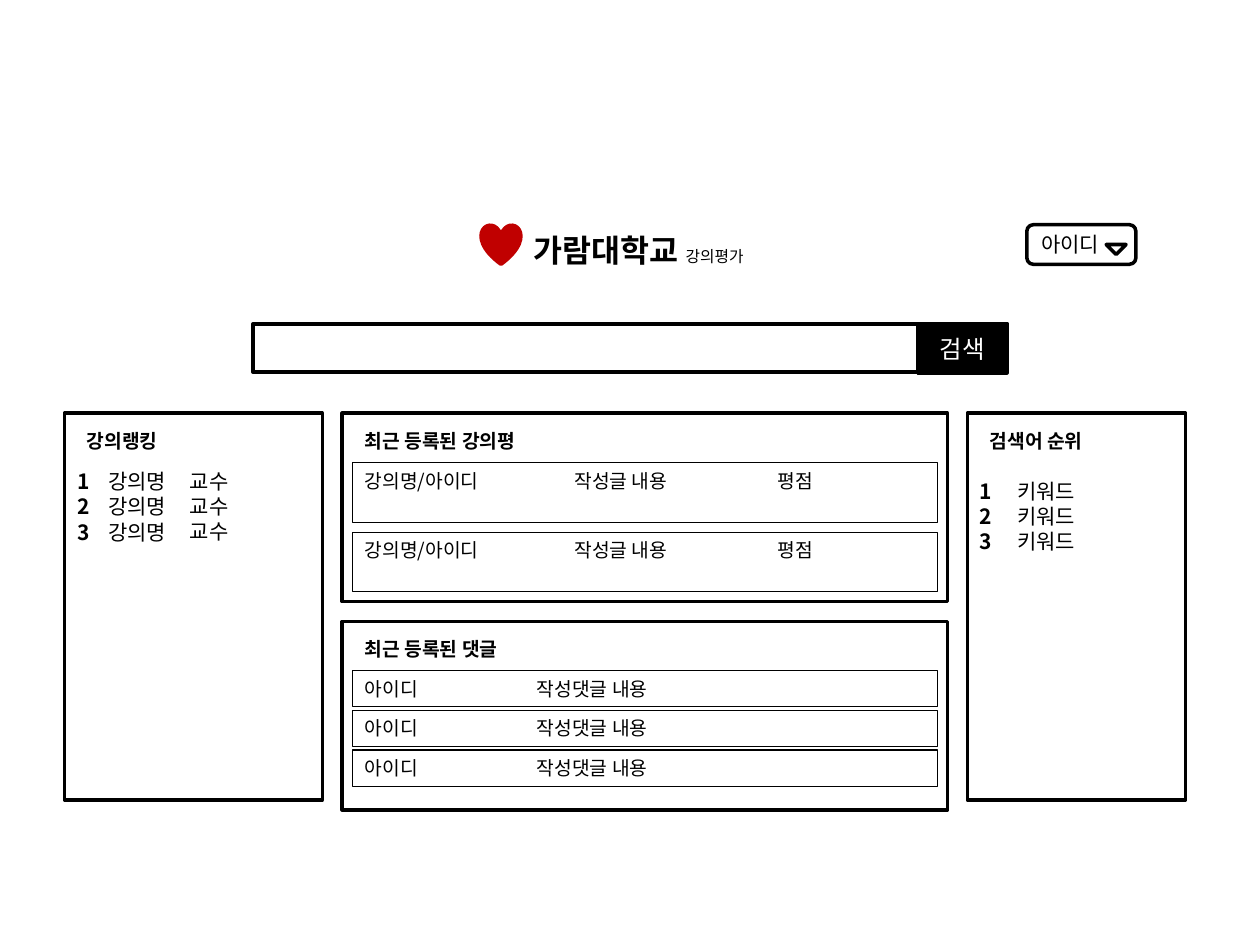
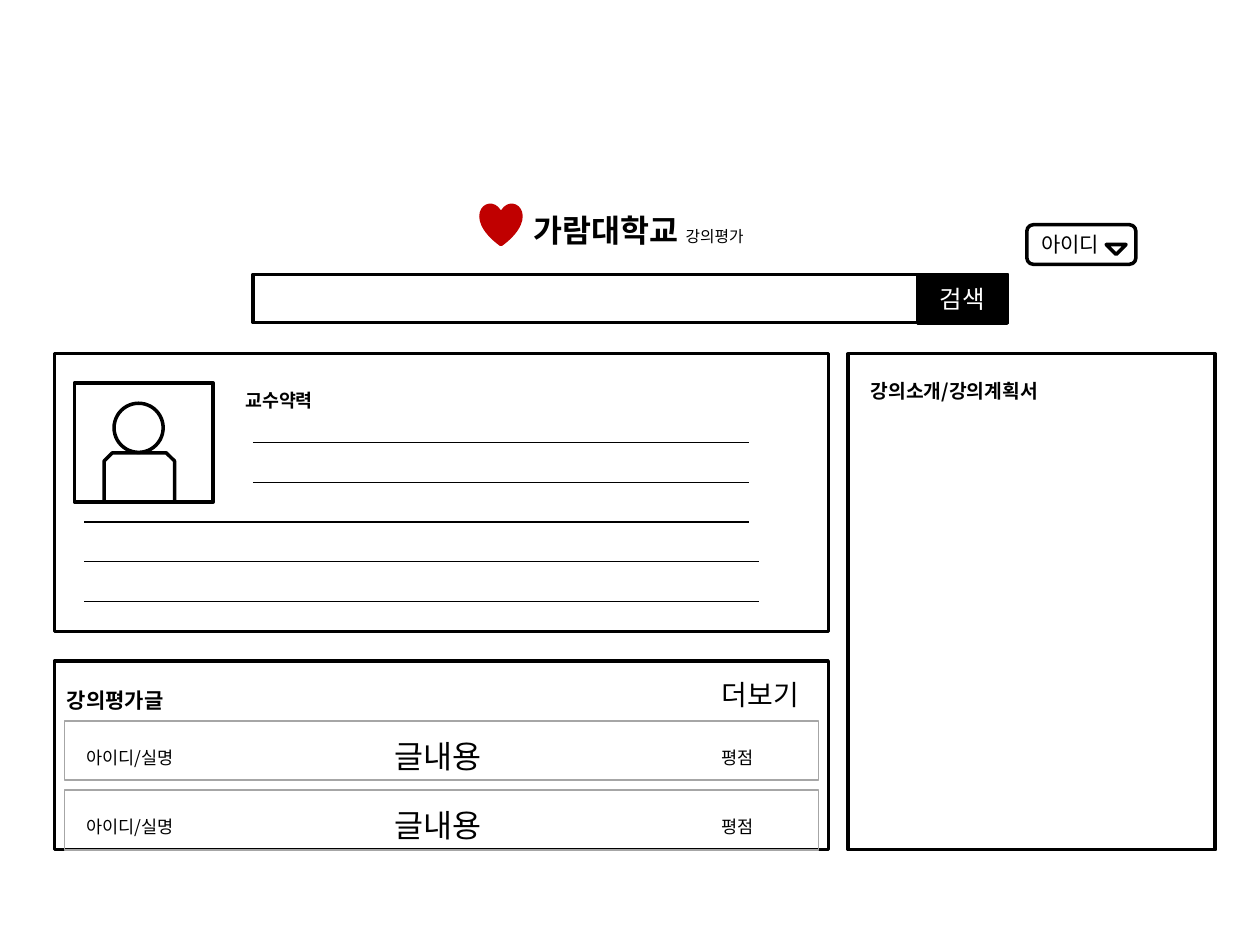
"""Builds two wireframe slides for a course review site."""
from pptx import Presentation
from pptx.dml.color import RGBColor
from pptx.enum.shapes import MSO_CONNECTOR, MSO_SHAPE as Kind
from pptx.enum.text import MSO_ANCHOR as Anchor, MSO_AUTO_SIZE as Fit, PP_ALIGN as Align
from pptx.oxml.ns import qn
from pptx.util import Cm, Pt
from lxml.etree import SubElement

FONT = "Noto Sans CJK KR"
COLORS = {"ink": "000000", "paper": "FFFFFF", "heart": "C00000", "row": "A6A6A6"}
BRAND = [("가람대학교 ", True, 18), ("강의평가", False, 9)]

HOME = {
    "panels": [(1.3, 8.33, 5.2, 7.8), (6.9, 8.33, 12.2, 3.8),
               (6.9, 12.53, 12.2, 3.8), (19.5, 8.33, 4.4, 7.8)],
    "headings": [("강의랭킹", 2.08), ("최근 등록된 강의평", 3.91),
                 ("최근 등록된 댓글", 3.53), ("검색어 순위", 2.62)],
    "rankings": [
        {"left": 1.3, "top": 9.32, "width": 2.6, "entry": "강의명", "hang": 0.63},
        {"left": 19.5, "top": 9.52, "width": 4.4, "entry": "키워드", "hang": 0.75},
    ],
    "teachers": ("교수", (3.58, 9.32, 1.6, 1.8)),
    "feeds": [
        {"columns": [("강의명/아이디", 0), ("작성글 내용", 4.23), ("평점", 8.32)],
         "count": 2, "top": 9.33, "step": 1.4, "height": 1.2},
        {"columns": [("아이디", 0), ("작성댓글 내용", 3.47)],
         "count": 3, "top": 13.52, "step": 0.8, "height": 0.73},
    ],
}
COURSE = {
    "panels": [(1.1, 7.13, 15.6, 5.6), (1.1, 13.33, 15.6, 3.8), (17.1, 7.13, 7.4, 10)],
    "portrait": [(Kind.OVAL, 2.3, 8.13, 0.99, 0.99),
                 (Kind.SNIP_2_SAME_RECTANGLE, 2.1, 9.13, 1.42, 0.99),
                 (Kind.RECTANGLE, 1.5, 7.72, 2.8, 2.4)],
    "headings": [("교수약력", (4.7, 7.72, 2.01, 0.71), 10.5, True),
                 ("강의평가글", (1.1, 13.73, 2.64, 0.76), 12, True),
                 ("강의소개/강의계획서", (17.3, 7.52, 4.19, 0.74), 11, True),
                 ("더보기", (14.3, 13.53, 2.24, 0.94), 16, False)],
    "bio_lines": [(5.1, 15.1), (5.1, 15.1), (1.7, 15.1), (1.7, 15.3), (1.7, 15.3)],
    "review": [("아이디/실명", 1.5, 0.4, 2.8, 0.69, 10),
               ("글내용", 7.7, 0.2, 2.44, 1.02, 18),
               ("평점", 14.3, 0.4, 1.4, 0.69, 10)],
}


def color(name):
    return RGBColor.from_string(COLORS[name])


def write(box, paras, ink="ink", align=Align.LEFT, anchor=Anchor.TOP, wrap=True, hang=0):
    frame = box.text_frame
    frame.auto_size, frame.word_wrap, frame.vertical_anchor = Fit.NONE, wrap, anchor
    for index, spans in enumerate(paras):
        para = frame.add_paragraph() if index else frame.paragraphs[0]
        para.alignment, para.space_before = align, Pt(0)
        if hang:
            props = para._p.get_or_add_pPr()
            props.set("marL", str(Cm(hang)))
            props.set("indent", str(-Cm(hang)))
            SubElement(props, qn("a:buNone"))
        for text, bold, size in spans:
            span = para.add_run()
            span.text = text
            span.font.name, span.font.size, span.font.bold = FONT, Pt(size), bold
            span.font.color.rgb = color(ink)
            SubElement(span._r.get_or_add_rPr(), qn("a:ea"), typeface=FONT)


def draw(shapes, kind, area, fill=None, line="ink", weight=2):
    shape = shapes.add_shape(kind, *map(Cm, area))
    shape.shadow.inherit = False
    if fill:
        shape.fill.solid()
        shape.fill.fore_color.rgb = color(fill)
    else:
        shape.fill.background()
    shape.line.color.rgb = color(line)
    shape.line.width = Pt(weight)
    return shape


def label(shapes, text, area, size, bold=False, wrap=True):
    write(shapes.add_textbox(*map(Cm, area)), [[(text, bold, size)]], wrap=wrap)


def move(box, area):
    box.left, box.top, box.width, box.height = map(Cm, area)


def rule(shapes, left, right, top):
    line = shapes.add_connector(MSO_CONNECTOR.STRAIGHT, Cm(left), Cm(top), Cm(right), Cm(top))
    line.line.color.rgb = color("ink")
    line.line.width = Pt(0.75)
    SubElement(line._element.spPr, qn("a:effectLst"))


def start_page(deck, layout, brand_top, search_top, panels):
    page = deck.slides.add_slide(deck.slide_layouts[layout])
    shapes = page.shapes
    move(shapes.title, (10.5, brand_top, 5.23, 1.02))
    write(shapes.title, [BRAND], wrap=False)
    draw(shapes, Kind.HEART, (9.7, brand_top, 0.8, 0.8), fill="heart", line="heart")
    account = draw(shapes, Kind.ROUNDED_RECTANGLE, (20.7, 4.53, 2.2, 0.8))
    write(account, [[("아이디", False, 12)]], anchor=Anchor.MIDDLE)
    draw(shapes, Kind.FLOWCHART_MERGE, (22.3, 4.93, 0.4, 0.2))
    draw(shapes, Kind.RECTANGLE, (5.1, search_top, 15.2, 0.97))
    button = draw(shapes, Kind.RECTANGLE, (18.5, search_top, 1.8, 0.99), fill="ink")
    write(button, [[("검색", False, 14)]], ink="paper", align=Align.CENTER, anchor=Anchor.MIDDLE)
    for panel in panels:
        draw(shapes, Kind.RECTANGLE, panel)
    return page


def build_home(deck):
    page = start_page(deck, 3, 4.53, 6.53, HOME["panels"])
    for (left, top, _, _), (text, width) in zip(HOME["panels"], HOME["headings"]):
        label(page.shapes, text, (left + 0.2, top + 0.2, width, 0.74), 11, bold=True, wrap=False)
    bodies = [box for box in page.placeholders if box.placeholder_format.idx]
    for box, ranking in zip(bodies, HOME["rankings"]):
        move(box, (ranking["left"], ranking["top"], ranking["width"], 1.8))
        paras = [[(f"{rank}\t", True, 12), (ranking["entry"], False, 12)] for rank in (1, 2, 3)]
        write(box, paras, hang=ranking["hang"])
    teacher, area = HOME["teachers"]
    write(page.shapes.add_textbox(*map(Cm, area)), [[(teacher, False, 12)]] * 3)
    for feed in HOME["feeds"]:
        for index in range(feed["count"]):
            top, height = feed["top"] + index * feed["step"], feed["height"]
            draw(page.shapes, Kind.RECTANGLE, (7.1, top, 11.8, height), weight=0.75)
            for text, offset in feed["columns"]:
                label(page.shapes, text, (7.1 + offset, top, 3.47, 0.73), 11)


def build_course(deck):
    page = start_page(deck, 5, 4.13, 5.53, COURSE["panels"])
    for kind, *area in COURSE["portrait"]:
        draw(page.shapes, kind, area)
    for text, area, size, bold in COURSE["headings"]:
        label(page.shapes, text, area, size, bold=bold, wrap=False)
    for index, (left, right) in enumerate(COURSE["bio_lines"]):
        rule(page.shapes, left, right, 8.92 + 0.8 * index)
    for row_top in (14.53, 15.93):
        review = page.shapes.add_group_shape().shapes
        draw(review, Kind.RECTANGLE, (1.3, row_top, 15.2, 1.2), line="row", weight=1)
        for text, left, drop, width, height, size in COURSE["review"]:
            label(review, text, (left, row_top + drop, width, height), size, wrap=size == 10)


deck = Presentation()
deck.slide_width, deck.slide_height = Cm(25.4), Cm(19.05)
build_home(deck)
build_course(deck)
deck.save("out.pptx")
